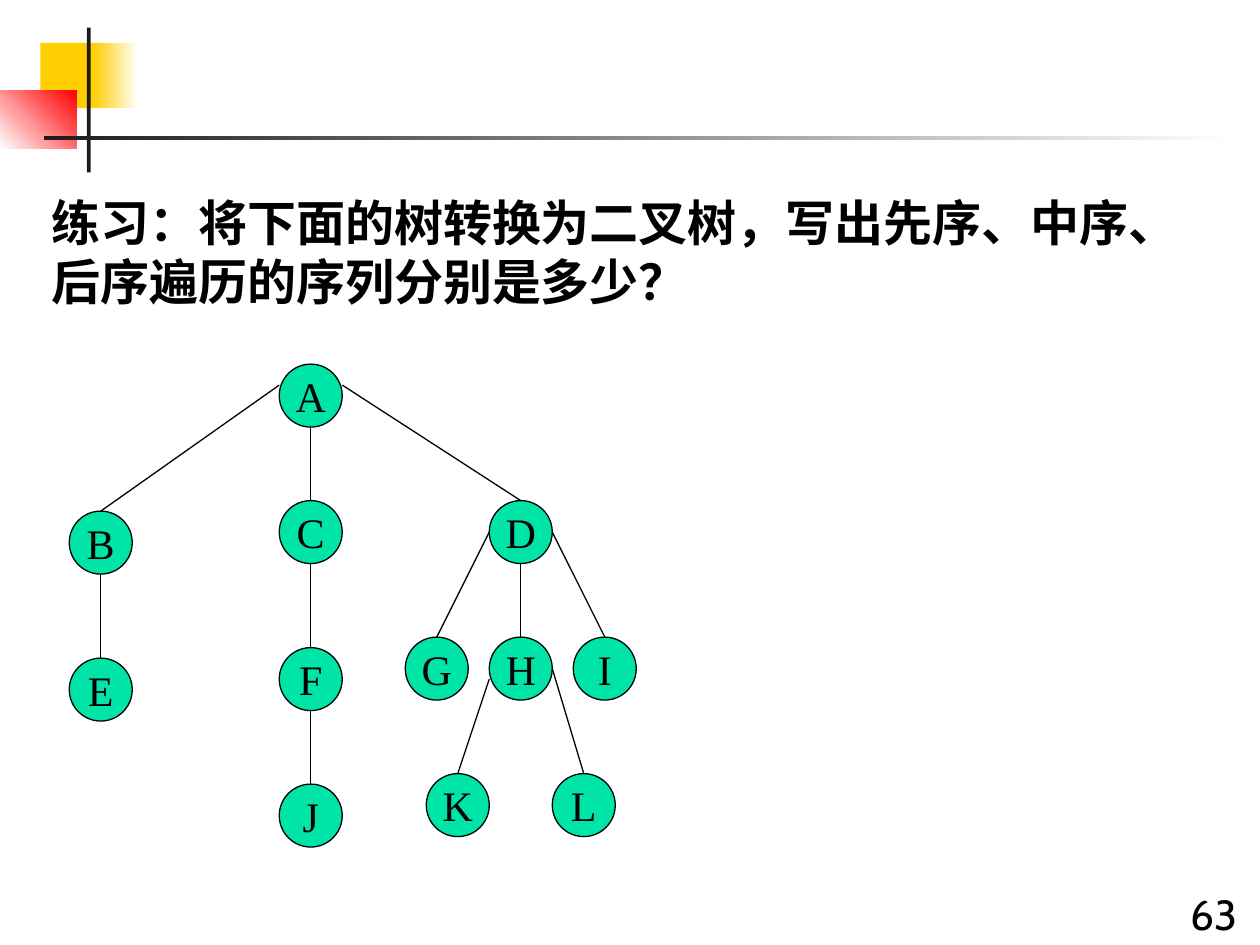
from lxml.etree import SubElement
from pptx import Presentation
from pptx.dml.color import RGBColor
from pptx.enum.lang import MSO_LANGUAGE_ID
from pptx.enum.shapes import MSO_CONNECTOR, MSO_SHAPE
from pptx.enum.text import MSO_ANCHOR, MSO_AUTO_SIZE, PP_ALIGN
from pptx.oxml.ns import qn
from pptx.util import Inches, Pt

COLORS = {"ink": "000000", "bar": "1C1C1C", "yellow": "FFCF01",
          "red": "FF0000", "white": "FFFFFF", "node": "00E4A8"}

BLOCKS = [
    ((3.2, 4.53, 4.8, 6.93), ["yellow"], 0),
    ((7.4, 4.53, 3.6, 6.93), ["yellow", "white"], 0),
    ((0, 9.6, 6.1, 6.13), ["white", "red"], 45),
    ((6.9, 2.93, 0.3, 15.33), ["bar"], 0),
    ((3.5, 14.4, 94.5, 0.4), ["bar", "white"], 0),
]

NODES = {"A": (20, 0), "B": (0, 14), "C": (20, 13), "D": (40, 13),
         "E": (0, 28), "F": (20, 27), "G": (32, 26), "H": (40, 26),
         "I": (48, 26), "J": (20, 40), "K": (34, 39), "L": (46, 39)}

EDGES = [("A", "B", (0, 2)), ("A", "C", (3, 6)), ("A", "D", (6, 2)),
         ("B", "E", (3, 6)), ("C", "F", (3, 6)), ("F", "J", (3, 6)),
         ("D", "G", (0, 3)), ("D", "H", (3, 6)), ("D", "I", (6, 3)),
         ("H", "K", (0, 4)), ("H", "L", (6, 3))]


class TreeSlide:
    CELL = Inches(1) / 12
    LEFT, TOP = Inches(0.55), Inches(2.89)
    NODE = 6

    def __init__(self, prs):
        self.prs = prs
        self.s = prs.slides.add_slide(prs.slide_layouts[5])
        self.nodes = {}

    def color(self, name):
        return RGBColor.from_string(COLORS[name])

    def share(self, x, y, w, h):
        width, height = self.prs.slide_width, self.prs.slide_height
        return [round(v * side / 100)
                for v, side in zip((x, y, w, h), (width, height) * 2)]

    def cell(self, col, row):
        return round(self.LEFT + col * self.CELL), round(self.TOP + row * self.CELL)

    def put_text(self, tf, text, frame, align, **font):
        for name, value in frame.items():
            setattr(tf, name, value)
        p = tf.paragraphs[0]
        p.alignment = align
        r = p.add_run()
        r.text = text
        for name, value in font.items():
            setattr(r.font, name, value)
        r.font.color.rgb = self.color("ink")
        SubElement(r.font._element, qn("a:ea")).set("typeface", font["name"])

    def title(self, text, box):
        sp = self.s.shapes.title
        sp.left, sp.top, sp.width, sp.height = self.share(*box)
        frame = {"word_wrap": True, "vertical_anchor": MSO_ANCHOR.TOP,
                 "auto_size": MSO_AUTO_SIZE.NONE, "margin_right": Inches(0.05)}
        self.put_text(sp.text_frame, text, frame, PP_ALIGN.LEFT,
                      name="Noto Sans CJK SC", size=Pt(28), bold=True,
                      language_id=MSO_LANGUAGE_ID.SIMPLIFIED_CHINESE)

    def number(self, text, box):
        sp = self.s.shapes.add_textbox(*self.share(*box))
        self.put_text(sp.text_frame, text, {"word_wrap": True}, PP_ALIGN.LEFT,
                      name="Cabin", size=Pt(24))

    def block(self, box, names, angle):
        sp = self.s.shapes.add_shape(MSO_SHAPE.RECTANGLE, *self.share(*box))
        sp.shadow.inherit = False
        sp.line.fill.background()
        if len(names) == 1:
            sp.fill.solid()
            sp.fill.fore_color.rgb = self.color(names[0])
            return
        sp.fill.gradient()
        sp.fill.gradient_angle = angle
        for stop, name in zip(sp.fill.gradient_stops, names):
            stop.color.rgb = self.color(name)

    def outline(self, line):
        line.color.rgb = self.color("ink")
        line.width = Pt(0.75)

    def node(self, label, col, row):
        side = round(self.NODE * self.CELL)
        sp = self.s.shapes.add_shape(MSO_SHAPE.FLOWCHART_CONNECTOR,
                                     *self.cell(col, row), side, side)
        sp.shadow.inherit = False
        sp.fill.solid()
        sp.fill.fore_color.rgb = self.color("node")
        self.outline(sp.line)
        frame = {"word_wrap": False, "vertical_anchor": MSO_ANCHOR.MIDDLE}
        self.put_text(sp.text_frame, label, frame, PP_ALIGN.CENTER,
                      name="Times New Roman", size=Pt(24))
        self.nodes[label] = sp

    def edge(self, parent, child, offset):
        col, row = NODES[parent]
        end_col, end_row = NODES[child]
        c = self.s.shapes.add_connector(
            MSO_CONNECTOR.STRAIGHT, *self.cell(col + offset[0], row + offset[1]),
            *self.cell(end_col + self.NODE / 2, end_row))
        c.end_connect(self.nodes[child], 0)
        self.outline(c.line)
        SubElement(c._element.spPr, qn("a:effectLst"))


def main():
    prs = Presentation()
    prs.slide_width, prs.slide_height = Inches(10), Inches(7.5)
    slide = TreeSlide(prs)
    for block in BLOCKS:
        slide.block(*block)
    slide.title("练习：将下面的树转换为二叉树，写出先序、中序、后序遍历的序列分别是多少？",
                (3.1, 19.73, 87.5, 13.87))
    slide.number("63", (93.5, 93.33, 6.5, 6.67))
    for label, place in NODES.items():
        slide.node(label, *place)
    for edge in EDGES:
        slide.edge(*edge)
    prs.save("out.pptx")


if __name__ == "__main__":
    main()
